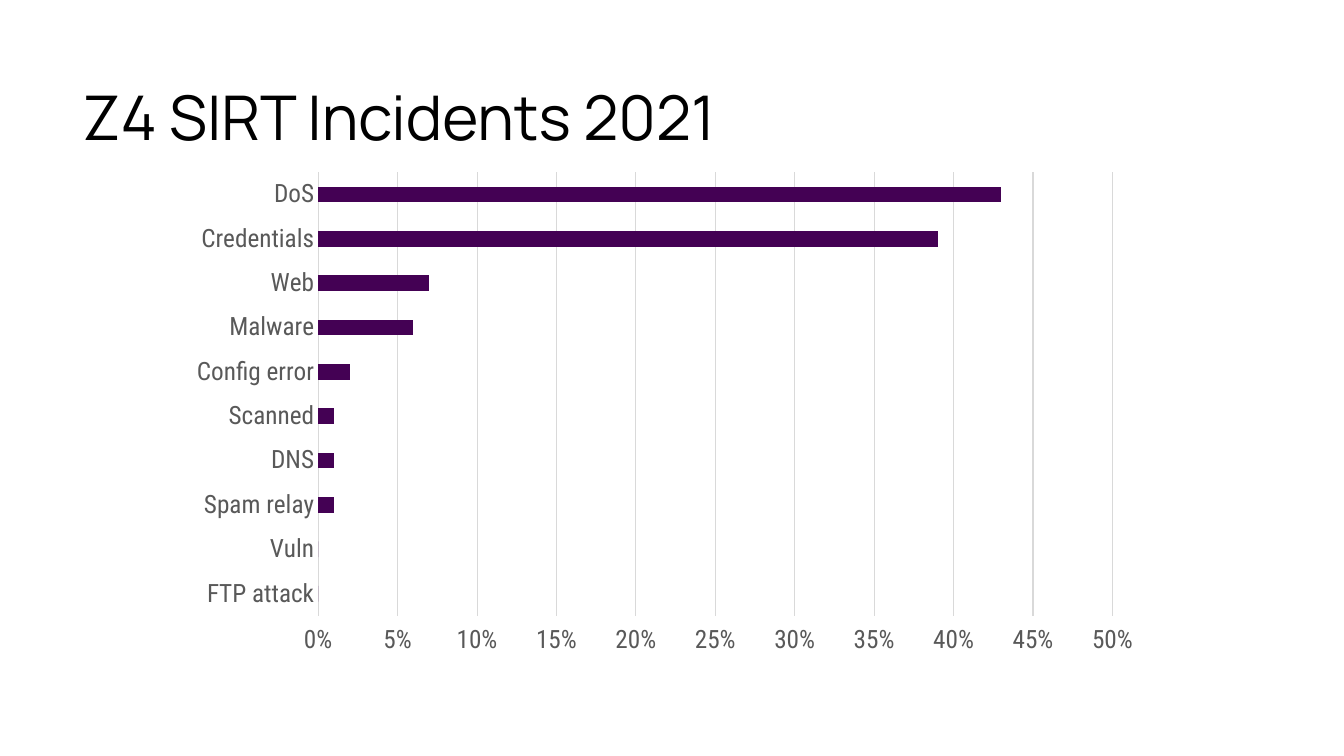
import dataclasses

import pptx
import pptx.chart.axis
import pptx.chart.data
import pptx.dml.color
import pptx.enum.chart
import pptx.enum.text
import pptx.slide
import pptx.text.text
import pptx.util

SLIDE_WIDTH = pptx.util.Inches(13.33)
SLIDE_HEIGHT = pptx.util.Inches(7.5)
COLORS = {"title": "000000", "label": "595959", "grid": "D9D9D9", "bar": "440154"}
TITLE_FONT = "Manrope"
CHART_FONT = "Roboto Condensed"


@dataclasses.dataclass(frozen=True)
class Area:
    """Position and size in inches."""
    left: float
    top: float
    width: float
    height: float

    def lengths(self) -> list[int]:
        return [pptx.util.Inches(value) for value in dataclasses.astuple(self)]


@dataclasses.dataclass(frozen=True)
class Incident:
    kind: str
    share: float


TITLE_AREA = Area(0.72, 0.47, 11.5, 1.45)
CHART_AREA = Area(1.76, 1.61, 9.67, 4.99)
INCIDENTS = [
    Incident("DoS", 0.43),
    Incident("Credentials", 0.39),
    Incident("Web", 0.07),
    Incident("Malware", 0.06),
    Incident("Config error", 0.02),
    Incident("Scanned", 0.01),
    Incident("DNS", 0.01),
    Incident("Spam relay", 0.01),
    Incident("Vuln", 0),
    Incident("FTP attack", 0),
]


def color(name: str) -> pptx.dml.color.RGBColor:
    return pptx.dml.color.RGBColor.from_string(COLORS[name])


def style_font(font: pptx.text.text.Font, name: str, size: float, color_name: str) -> None:
    font.name = name
    font.size = pptx.util.Pt(size)
    font.color.rgb = color(color_name)


def add_title(slide: pptx.slide.Slide, text: str) -> None:
    title = slide.shapes.title
    title.left, title.top, title.width, title.height = TITLE_AREA.lengths()
    frame = title.text_frame
    frame.word_wrap = True
    frame.auto_size = pptx.enum.text.MSO_AUTO_SIZE.NONE
    frame.vertical_anchor = pptx.enum.text.MSO_ANCHOR.MIDDLE
    paragraph = frame.paragraphs[0]
    paragraph.alignment = pptx.enum.text.PP_ALIGN.LEFT
    paragraph.line_spacing = 0.9
    run = paragraph.add_run()
    run.text = text
    style_font(run.font, TITLE_FONT, 44, "title")


def style_axis(axis: pptx.chart.axis._BaseAxis) -> None:
    """Give an axis plain labels without tick marks."""
    axis.major_tick_mark = pptx.enum.chart.XL_TICK_MARK.NONE
    axis.minor_tick_mark = pptx.enum.chart.XL_TICK_MARK.NONE
    style_font(axis.tick_labels.font, CHART_FONT, 18, "label")


def add_incident_chart(slide: pptx.slide.Slide, incidents: list[Incident]) -> None:
    data = pptx.chart.data.CategoryChartData(number_format="0%")
    data.categories = [incident.kind for incident in incidents]
    data.add_series("Series 1", [incident.share for incident in incidents])
    chart = slide.shapes.add_chart(
        pptx.enum.chart.XL_CHART_TYPE.BAR_CLUSTERED, *CHART_AREA.lengths(), data
    ).chart
    chart.has_legend = False
    chart.has_title = False
    style_font(chart.font, CHART_FONT, 18, "title")

    plot = chart.plots[0]
    plot.gap_width = 182
    plot.vary_by_categories = False
    fill = plot.series[0].format.fill
    fill.solid()
    fill.fore_color.rgb = color("bar")

    kinds, shares = chart.category_axis, chart.value_axis
    style_axis(kinds)
    style_axis(shares)
    kinds.reverse_order = True
    shares.tick_label_position = pptx.enum.chart.XL_TICK_LABEL_POSITION.HIGH
    shares.minimum_scale, shares.maximum_scale, shares.major_unit = 0, 0.5, 0.05
    shares.tick_labels.number_format = "0%"
    shares.tick_labels.number_format_is_linked = False
    shares.format.line.fill.background()
    shares.has_major_gridlines = True
    for line in (kinds.format.line, shares.major_gridlines.format.line):
        line.width = pptx.util.Pt(0.75)
        line.color.rgb = color("grid")


def main() -> None:
    presentation = pptx.Presentation()
    presentation.slide_width = SLIDE_WIDTH
    presentation.slide_height = SLIDE_HEIGHT
    title_only = presentation.slide_layouts.get_by_name("Title Only")
    slide = presentation.slides.add_slide(title_only)
    add_title(slide, "Z4 SIRT Incidents 2021")
    add_incident_chart(slide, INCIDENTS)
    presentation.save("out.pptx")


if __name__ == "__main__":
    main()
